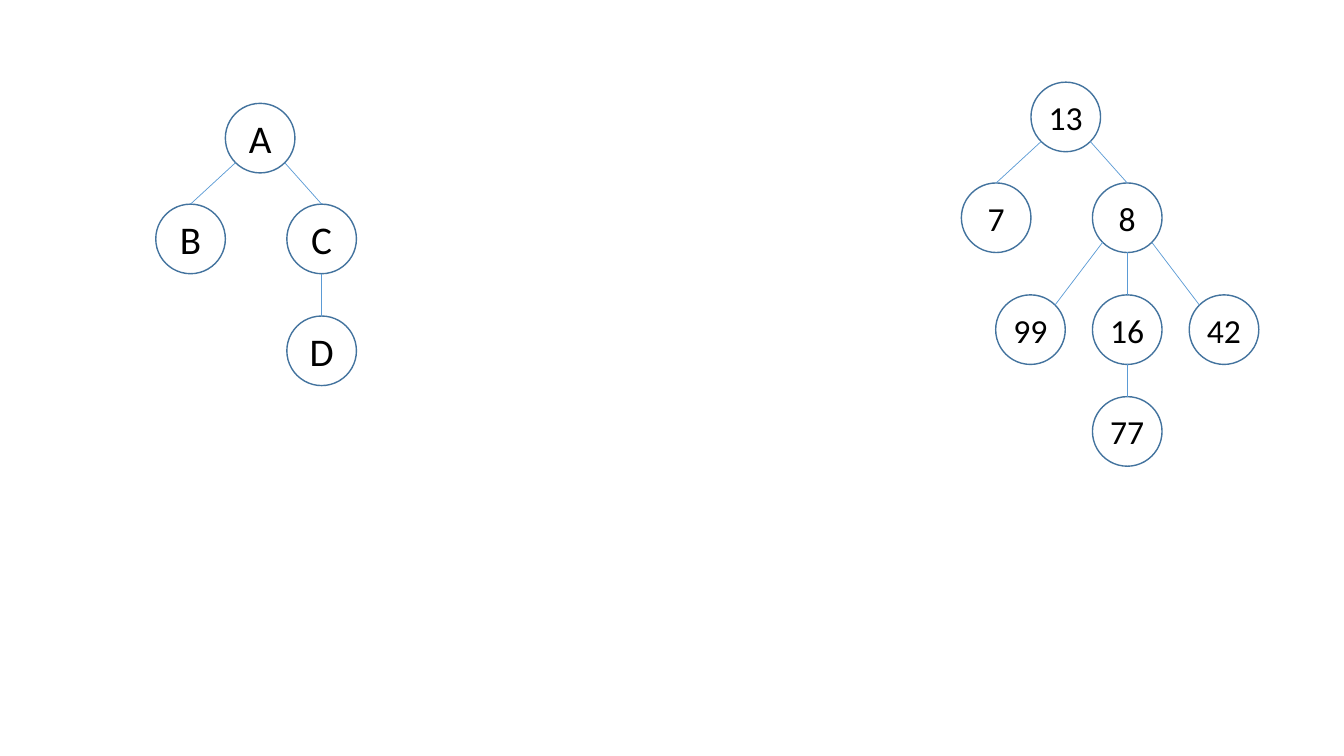
"""Build a slide with two tree diagrams, one of letters and one of numbers."""
from math import sqrt
from pptx import Presentation
from pptx.dml.color import RGBColor as RGB
from pptx.enum.shapes import MSO_CONNECTOR as Link, MSO_SHAPE as Shape
from pptx.enum.text import MSO_ANCHOR as Anchor, PP_ALIGN as Align
from pptx.oxml.ns import qn
from pptx.util import Inches, Pt
from lxml.etree import SubElement

COLORS = {"ring": "43739E", "edge": "5B9BD5", "text": "000000"}
FONT = "Calibri"
SIZE = 0.69
COLS = {"left": -0.69, "low left": -0.35, "root": 0, "mid": 0.61, "right": 1.57}
ROWS = [0, 1, 2.11, 3.12]

# Each node: label, column, row, parent
TREES = [
    {"root": (2.58, 1.37), "size": 28, "inset": None, "nodes": [
        ("A", "root", 0, None),
        ("B", "left", 1, "A"),
        ("C", "mid", 1, "A"),
        ("D", "mid", 2, "C"),
    ]},
    {"root": (10.57, 1.16), "size": 24, "inset": 0, "nodes": [
        ("13", "root", 0, None),
        ("7", "left", 1, "13"),
        ("8", "mid", 1, "13"),
        ("99", "low left", 2, "8"),
        ("16", "mid", 2, "8"),
        ("42", "right", 2, "8"),
        ("77", "mid", 3, "16"),
    ]},
]


def add_node(group, label, x, y, tree):
    half = SIZE / 2
    node = group.shapes.add_shape(Shape.OVAL, Inches(x - half), Inches(y - half),
                                  Inches(SIZE), Inches(SIZE))
    node.shadow.inherit = False
    node.fill.background()
    node.line.color.rgb = RGB.from_string(COLORS["ring"])
    node.line.width = Pt(1)
    frame = node.text_frame
    frame.text = label
    frame.vertical_anchor = Anchor.MIDDLE
    if tree["inset"] is not None:
        inset = Inches(tree["inset"])
        frame.margin_left = frame.margin_right = inset
        frame.margin_top = frame.margin_bottom = inset
    par = frame.paragraphs[0]
    par.alignment = Align.CENTER
    font = par.runs[0].font
    font.name, font.size = FONT, Pt(tree["size"])
    font.color.rgb = RGB.from_string(COLORS["text"])
    return node


def add_edge(group, start, end, child, on_top):
    half = SIZE / 2
    diag = half / sqrt(2)
    (x1, y1), (x2, y2) = start, end
    side = (x2 > x1) - (x2 < x1)
    y1 += diag if side else half
    x1 += side * diag
    if on_top:
        y2 -= half
    else:
        x2, y2 = x2 - side * diag, y2 - diag
    edge = group.shapes.add_connector(Link.STRAIGHT, Inches(x1), Inches(y1),
                                      Inches(x2), Inches(y2))
    if on_top:
        edge.end_connect(child, 0)
    edge.line.color.rgb = RGB.from_string(COLORS["edge"])
    edge.line.width = Pt(0.5)
    SubElement(edge._element.spPr, qn("a:effectLst"))


def add_tree(slide, tree):
    group = slide.shapes.add_group_shape()
    left, top = tree["root"]
    spots, nodes = {}, {}
    for label, col, row, _ in tree["nodes"]:
        spots[label] = left + COLS[col], top + ROWS[row]
        nodes[label] = add_node(group, label, *spots[label], tree)
    for label, col, row, parent in tree["nodes"]:
        if parent:
            on_top = row == 1 or col == "mid"
            add_edge(group, spots[parent], spots[label], nodes[label], on_top)


def main():
    deck = Presentation()
    deck.slide_width, deck.slide_height = Inches(13.33), Inches(7.5)
    slide = deck.slides.add_slide(deck.slide_layouts[6])
    for tree in TREES:
        add_tree(slide, tree)
    deck.save("out.pptx")


if __name__ == "__main__":
    main()
